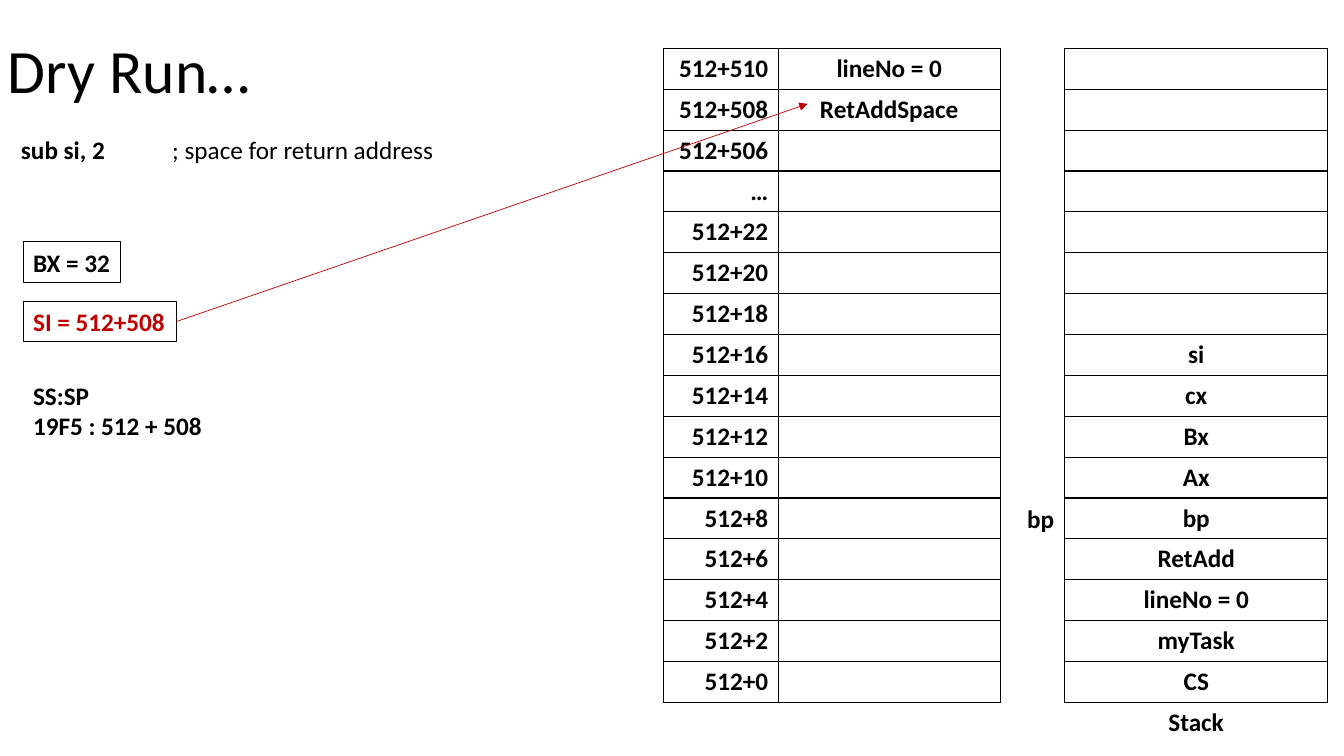
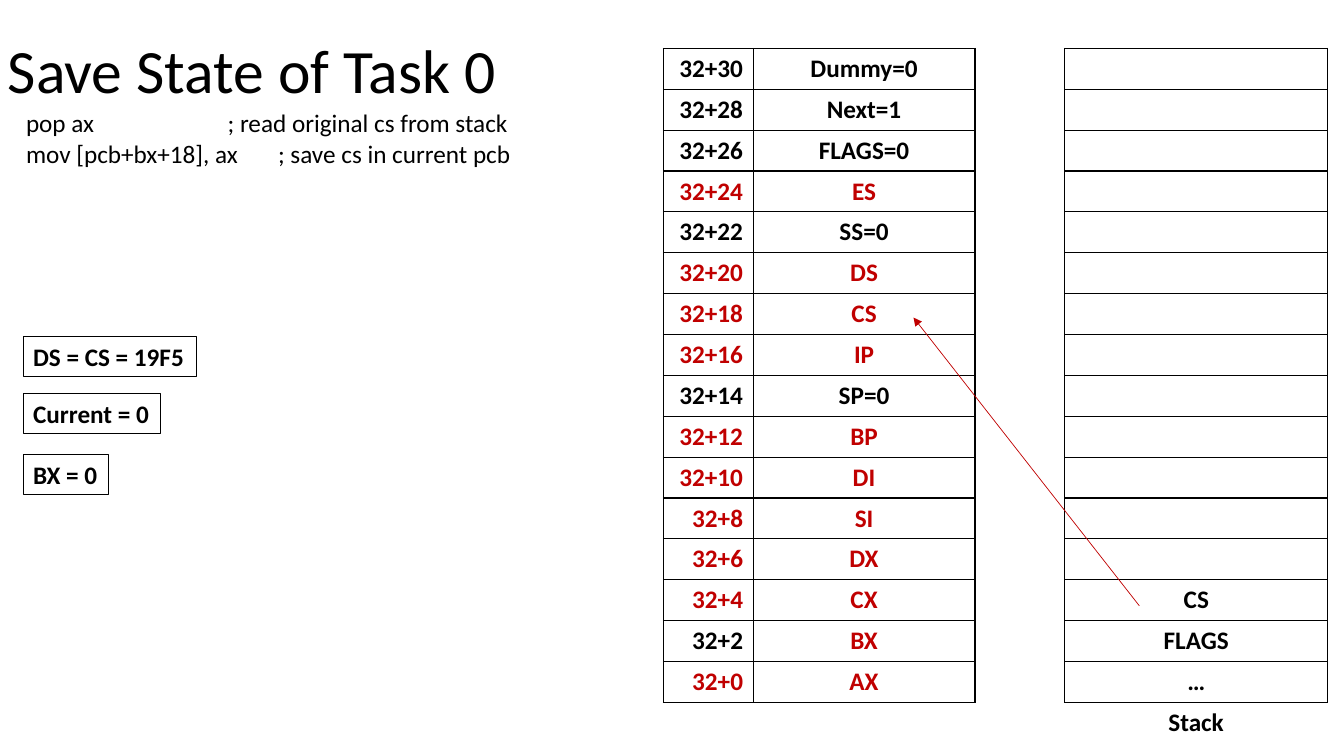
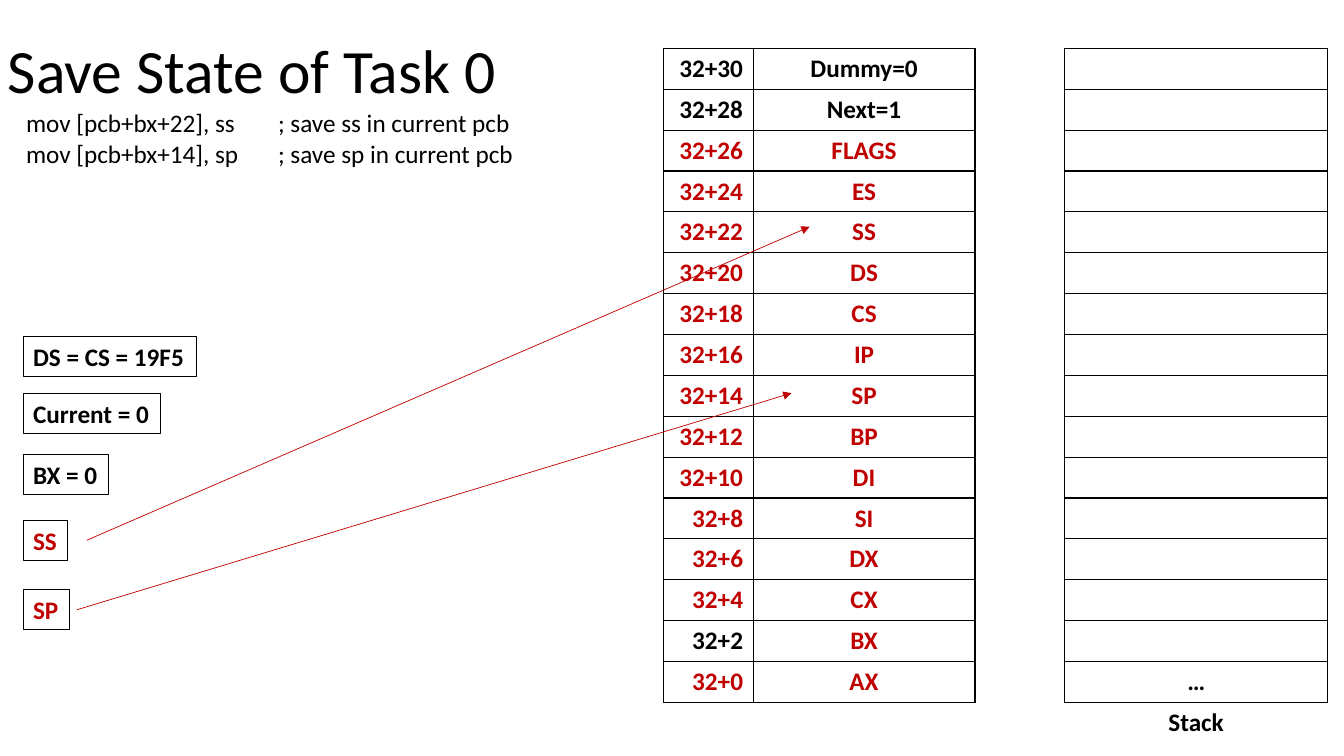
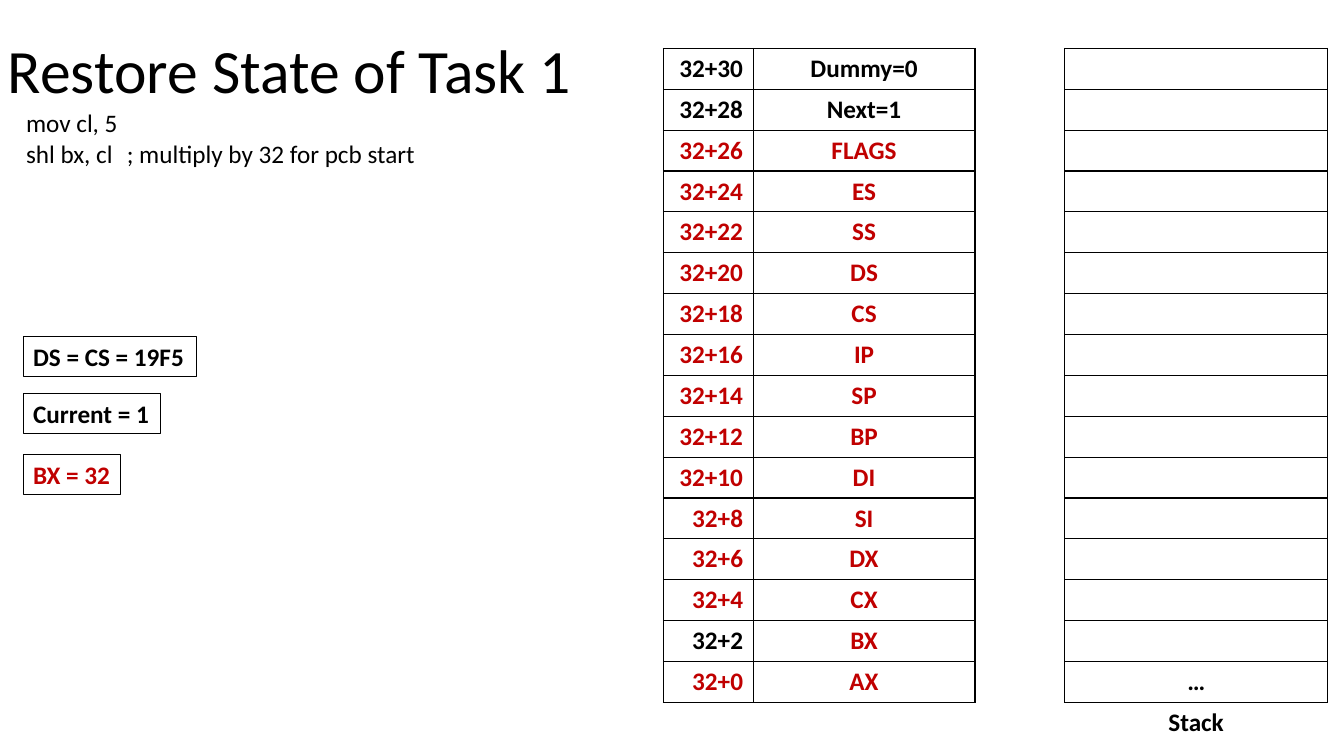
from lxml import etree
from pptx import Presentation
from pptx.dml.color import RGBColor
from pptx.enum.shapes import MSO_CONNECTOR, MSO_SHAPE
from pptx.enum.text import MSO_ANCHOR, MSO_AUTO_SIZE, PP_ALIGN
from pptx.oxml.ns import qn
from pptx.util import Inches, Pt

LEFT, CENTER, RIGHT = PP_ALIGN.LEFT, PP_ALIGN.CENTER, PP_ALIGN.RIGHT
MIDDLE, TOP = MSO_ANCHOR.MIDDLE, MSO_ANCHOR.TOP
FIT_SHAPE, NO_FIT = MSO_AUTO_SIZE.SHAPE_TO_FIT_TEXT, MSO_AUTO_SIZE.NONE
RECT, STRAIGHT = MSO_SHAPE.RECTANGLE, MSO_CONNECTOR.STRAIGHT
RIGHT_SIDE = 3

FONT, BLACK, RED = "Calibri", "000000", "C00000"
ROWS, TABLE_TOP, TABLE_H = 16, 0.48, 6.49
MEMORY_X, VALUE_W = 6.58, 2.2
STACK_X, STACK_W = 10.56, 2.61
BOX_X, LINE_H = 0.23, 0.4
BOX_TOPS = (3.34, 3.9, 4.51, 5.16, 5.85)

REGISTERS = ["AX", "BX", "CX", "DX", "SI", "DI", "BP", "SP",
             "IP", "CS", "DS", "SS", "ES", "FLAGS", "Next=1", "Dummy=0"]


def rgb(hex_color):
    return RGBColor.from_string(hex_color)


def write(tf, text, size=18, color=BLACK, bold=True, align=LEFT, spacing=None):
    """Fill a text frame; text is a string or a list of (text, bold) runs."""
    runs = [(text, bold)] if isinstance(text, str) else text
    p = tf.paragraphs[0]
    for content, is_bold in runs:
        for i, line in enumerate(content.split("\n")):
            if i:
                p = tf.add_paragraph()
            p.alignment = align
            if spacing:
                p.line_spacing = spacing
            r = p.add_run()
            r.text = line
            r.font.name, r.font.size, r.font.bold = FONT, Pt(size), is_bold
            r.font.color.rgb = rgb(color)


def label(s, box, text, wrap=False, anchor=TOP, **style):
    tf = s.shapes.add_textbox(*map(Inches, box)).text_frame
    tf.word_wrap, tf.vertical_anchor = wrap, anchor
    tf.auto_size = NO_FIT if wrap else FIT_SHAPE
    write(tf, text, **style)


def title(s, text):
    label(s, (-0.02, 0, 11.5, 1.45), text, wrap=True, anchor=MIDDLE,
          size=44, bold=False, spacing=0.9)


def code(s, text, width):
    label(s, (0.16, 1.02, width, 0.71), text, bold=False)


def register_box(s, top, width, text, color=BLACK):
    sp = s.shapes.add_shape(RECT, *map(Inches, (BOX_X, top, width, LINE_H)))
    sp.shadow.inherit = False
    sp.fill.background()
    sp.line.color.rgb, sp.line.width = rgb(BLACK), Pt(0.75)
    tf = sp.text_frame
    tf.word_wrap, tf.auto_size, tf.vertical_anchor = False, FIT_SHAPE, TOP
    write(tf, text, color=color)
    return sp


def arrow(s, start, end, source=None):
    """Draw a red arrow, joined to the right side of source if given."""
    c = s.shapes.add_connector(STRAIGHT, *map(Inches, (*start, *end)))
    if source is not None:
        c.begin_connect(source, RIGHT_SIDE)
    c.line.color.rgb, c.line.width = rgb(RED), Pt(0.5)
    etree.SubElement(c.line._get_or_add_ln(), qn("a:tailEnd"), type="triangle")
    etree.SubElement(c._element.spPr, qn("a:effectLst"))


def border(cell):
    tcPr = cell._tc.get_or_add_tcPr()
    for side in ("a:lnL", "a:lnR", "a:lnT", "a:lnB"):
        ln = etree.SubElement(tcPr, qn(side), w=str(Pt(1)))
        fill = etree.SubElement(ln, qn("a:solidFill"))
        etree.SubElement(fill, qn("a:srgbClr"), val=BLACK)


def grid(s, left, widths, rows, aligns):
    """Draw a bordered table; each cell is a (text, color) pair."""
    table = s.shapes.add_table(
        len(rows), len(widths),
        *map(Inches, (left, TABLE_TOP, sum(widths), TABLE_H))).table
    table.first_row = table.horz_banding = False
    for column, width in zip(table.columns, widths):
        column.width = Inches(width)
    for i, row in enumerate(rows):
        table.rows[i].height = Inches(TABLE_H / ROWS)
        for j, (text, color) in enumerate(row):
            cell = table.cell(i, j)
            border(cell)
            cell.fill.background()
            if text:
                write(cell.text_frame, text, color=color, align=aligns[j])


def stack(s, values):
    """Draw the stack with the values at its bottom."""
    cells = [""] * (ROWS - len(values)) + values
    grid(s, STACK_X, [STACK_W], [[(v, BLACK)] for v in cells], [CENTER])
    label(s, (11.49, 6.96, 0.76, LINE_H), "Stack")


def memory(s, address_w, rows):
    grid(s, MEMORY_X, [address_w, VALUE_W], rows, [RIGHT, CENTER])


def control_block(s, unsaved):
    """Draw the task's block, with registers already saved in red."""
    rows = []
    for i, name in reversed(list(enumerate(REGISTERS))):
        color = BLACK if "=" in name or name in unsaved else RED
        value = f"{name}=0" if name in unsaved else name
        rows.append([(f"32+{2 * i}", BLACK if name == "BX" else color),
                     (value, color)])
    memory(s, 0.89, rows)


def dry_run_slide(s):
    title(s, "Dry Run…")
    stack(s, ["si", "cx", "Bx", "Ax", "bp", "RetAdd", "lineNo = 0", "myTask", "CS"])
    label(s, (10.09, 4.94, 0.47, LINE_H), "bp")
    label(s, (0.11, 1.28, 4.84, LINE_H),
          [("sub si, 2", True), ("\t\t; space for return address", False)])
    addresses = ["512+510", "512+508", "512+506", "…"]
    addresses += [f"512+{n}" for n in range(22, -1, -2)]
    values = ["lineNo = 0", "RetAddSpace"] + [""] * (ROWS - 2)
    memory(s, 1.14, [[(a, BLACK), (v, BLACK)] for a, v in zip(addresses, values)])
    register_box(s, 2.4, 0.97, "BX = 32")
    si = register_box(s, 2.99, 1.52, "SI = 512+508", RED)
    arrow(s, (1.75, 3.19), (8.01, 1.03), source=si)
    label(s, (BOX_X, 3.72, 1.9, 0.71), "SS:SP\n19F5 : 512 + 508")


def state_slide(s, heading, lines, code_w, boxes, stacked, unsaved=(), arrows=()):
    title(s, heading)
    code(s, lines, code_w)
    stack(s, stacked)
    control_block(s, unsaved)
    for top, box in zip(BOX_TOPS, [(1.72, "DS = CS = 19F5"), *boxes]):
        register_box(s, top, *box)
    for start, end in arrows:
        arrow(s, start, end)


def main():
    prs = Presentation()
    prs.slide_width, prs.slide_height = Inches(13.33), Inches(7.5)
    blank = prs.slide_layouts[6]

    def new_slide():
        return prs.slides.add_slide(blank)

    task_0 = [(1.36, "Current = 0"), (0.85, "BX = 0")]
    dry_run_slide(new_slide())
    state_slide(
        new_slide(), "Save State of Task 0",
        "pop ax\t\t\t; read original cs from stack\n"
        "mov [pcb+bx+18], ax\t; save cs in current pcb", 6.04,
        task_0, ["CS", "FLAGS", "…"], unsaved=("FLAGS", "SS", "SP"),
        arrows=[((11.3, 6.01), (9.06, 3.15))])
    state_slide(
        new_slide(), "Save State of Task 0",
        "mov [pcb+bx+22], ss\t; save ss in current pcb\n"
        "mov [pcb+bx+14], sp\t; save sp in current pcb", 5.56,
        task_0 + [(0.44, "SS", RED), (0.46, "SP", RED)], ["…"],
        arrows=[((0.86, 5.36), (8.03, 2.25)), ((0.76, 6.05), (7.85, 3.9))])
    state_slide(
        new_slide(), "Restore State of Task 1",
        "mov cl, 5\nshl bx, cl\t; multiply by 32 for pcb start", 4.1,
        [(1.36, "Current = 1"), (0.97, "BX = 32", RED)], ["…"])
    prs.save("out.pptx")


if __name__ == "__main__":
    main()
